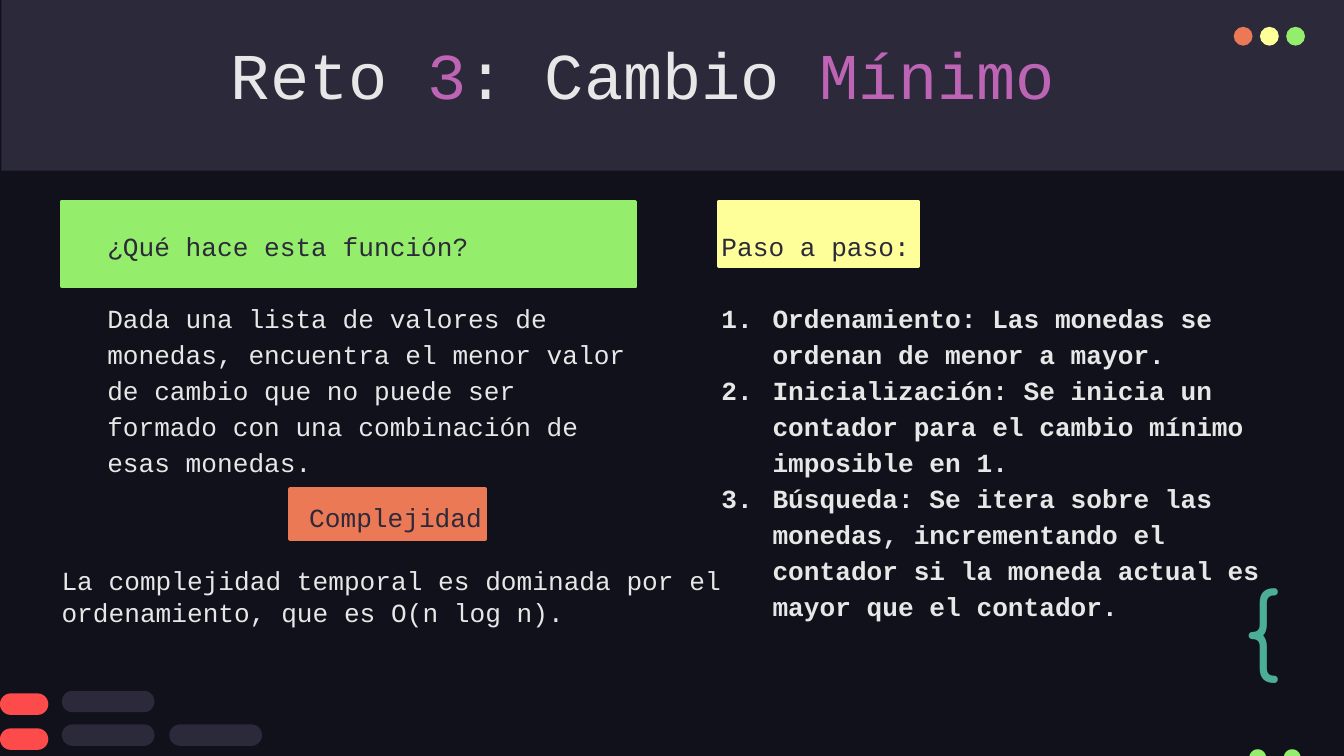
from lxml import etree
from pptx import Presentation
from pptx.dml.color import RGBColor
from pptx.enum.shapes import MSO_SHAPE
from pptx.enum.text import MSO_ANCHOR, PP_ALIGN
from pptx.oxml.ns import qn
from pptx.util import Inches, Pt

RECTANGLE, OVAL, PILL = MSO_SHAPE.RECTANGLE, MSO_SHAPE.OVAL, MSO_SHAPE.ROUNDED_RECTANGLE
TOP, MIDDLE = MSO_ANCHOR.TOP, MSO_ANCHOR.MIDDLE
LEFT, CENTER, RIGHT = PP_ALIGN.LEFT, PP_ALIGN.CENTER, PP_ALIGN.RIGHT

COLORS = {
    "background": "10111A", "panel": "2C293A", "text": "E7E7E7",
    "orange": "EC7955", "yellow": "FFFF99", "green": "94EE6B",
    "red": "FD4A4A", "purple": "BD64B5", "teal": "4CAE97",
}
CODE_FONT = "Courier New"
BODY_SIZE = 14

STEPS = [
    "Ordenamiento: Las monedas se ordenan de menor a mayor.",
    "Inicialización: Se inicia un contador para el cambio mínimo imposible en 1.",
    "Búsqueda: Se itera sobre las monedas, incrementando el contador "
    "si la moneda actual es mayor que el contador.",
]


def rgb(name):
    return RGBColor.from_string(COLORS[name])


def add_block(slide, kind, box, color, outline=0):
    shape = slide.shapes.add_shape(kind, *map(Inches, box))
    shape.shadow.inherit = False
    shape.fill.solid()
    shape.fill.fore_color.rgb = rgb(color)
    if outline:
        shape.line.color.rgb = rgb(color)
        shape.line.width = Pt(outline)
    else:
        shape.line.fill.background()
    if kind == PILL:
        shape.adjustments[0] = 0.5


def add_text_box(slide, box, anchor=TOP, inset=0.1):
    """Add an empty text box; inset is its top and bottom margin."""
    shape = slide.shapes.add_textbox(*map(Inches, box))
    frame = shape.text_frame
    settings = {"word_wrap": True, "vertical_anchor": anchor,
                "margin_left": Inches(0.1), "margin_right": Inches(0.1),
                "margin_top": Inches(inset), "margin_bottom": Inches(inset)}
    for name, value in settings.items():
        setattr(frame, name, value)
    return shape


def write(shape, runs, size=BODY_SIZE, font=CODE_FONT, bold=False, **layout):
    """Add a paragraph of (text, color) runs, filling the empty first one."""
    frame = shape.text_frame
    paragraph = frame.paragraphs[0]
    if paragraph.runs:
        paragraph = frame.add_paragraph()
    for name, value in layout.items():
        setattr(paragraph, name, value)
    for text, color in runs:
        run = paragraph.add_run()
        run.text = text
        for name, value in {"size": Pt(size), "name": font, "bold": bold}.items():
            setattr(run.font, name, value)
        run.font.color.rgb = rgb(color)
    return paragraph


def number(paragraph, indent=0.38):
    properties = paragraph._p.get_or_add_pPr()
    properties.set("marL", str(Inches(indent)))
    properties.set("indent", str(-Inches(indent)))
    color = etree.SubElement(properties, qn("a:buClr"))
    etree.SubElement(color, qn("a:srgbClr"), val=COLORS["text"])
    etree.SubElement(properties, qn("a:buFont"), typeface=CODE_FONT)
    etree.SubElement(properties, qn("a:buAutoNum"), type="arabicPeriod")


def add_header(slide, left, top, width, height):
    add_block(slide, RECTANGLE, (left, top, width, height), "panel")
    for index, color in enumerate(("orange", "yellow", "green")):
        add_block(slide, OVAL, (left + 9.17 + index * 0.195, top + 0.2, 0.14, 0.14), color)
    title = add_text_box(slide, (left + 1.61, top + 0.23, 8.42, 0.63), MIDDLE)
    write(title, [("Reto ", "text"), ("3", "purple"),
                  (": Cambio ", "text"), ("Mínimo", "purple")], size=35)


def add_column(slide, box, tag_box, tag_color, heading, body, numbered=False):
    """Add a heading on a colored tag, placed relative to the box, and its body."""
    left, top = box[:2]
    tag_left, tag_top, tag_width, tag_height = tag_box
    add_block(slide, RECTANGLE, (left + tag_left, top + tag_top, tag_width, tag_height),
              tag_color, outline=2)
    column = add_text_box(slide, box)
    write(column, [(heading, "panel")], line_spacing=1.15)
    for index, text in enumerate(body):
        paragraph = write(column, [(text, "text")], bold=numbered, line_spacing=1.15,
                          space_before=Pt(0 if index else 19.3))
        if numbered:
            number(paragraph)


def add_complexity(slide, left, top, width, height):
    add_block(slide, RECTANGLE, (left + 1.8, top - 0.04, 1.45, 0.37), "orange", outline=2)
    box = add_text_box(slide, (left, top, width, height), inset=0.05)
    write(box, [("Complejidad", "panel")], alignment=CENTER)
    write(box, [("La complejidad temporal es dominada por el ordenamiento, "
                 "que es O(n log n).", "text")], alignment=LEFT, space_before=Pt(17.2))


def add_pills(slide, left, top):
    for row, gray_count in enumerate((1, 2)):
        add_block(slide, PILL, (left, top + 0.02 + row * 0.26, 0.36, 0.16), "red")
        for index in range(gray_count):
            add_block(slide, PILL,
                      (left + 0.46 + index * 0.8, top + row * 0.25, 0.69, 0.16), "panel")


def add_code_marks(slide, left, top):
    brace = add_text_box(slide, (left, top + 0.02, 2.27, 0.05))
    brace.rotation = 180
    write(brace, [("}", "teal")], size=50, font="Comfortaa")
    dots = add_text_box(slide, (left + 1.6, top, 1.07, 0.6), MIDDLE)
    write(dots, [("..", "green")], size=50, font="Fira Code", alignment=RIGHT)


def main():
    presentation = Presentation()
    presentation.slide_width = Inches(10)
    presentation.slide_height = presentation.slide_width * 9 // 16
    slide = presentation.slides.add_slide(presentation.slide_layouts[6])
    slide.background.fill.solid()
    slide.background.fill.fore_color.rgb = rgb("background")

    add_header(slide, 0.01, 0, 10, 1.27)
    add_column(slide, (5.27, 1.58, 4.34, 2.54), (0.08, -0.08, 1.48, 0.48), "yellow",
               "Paso a paso:", STEPS, numbered=True)
    add_column(slide, (0.7, 1.58, 4.1, 1.76), (-0.24, -0.08, 4.27, 0.63), "green",
               "¿Qué hace esta función?",
               ["Dada una lista de valores de monedas, encuentra el menor valor de cambio "
                "que no puede ser formado con una combinación de esas monedas."])
    add_complexity(slide, 0.36, 3.68, 5.17, 1.04)
    add_pills(slide, 0, 5.14)
    add_code_marks(slide, 7.35, 5.12)
    presentation.save("out.pptx")


if __name__ == "__main__":
    main()
